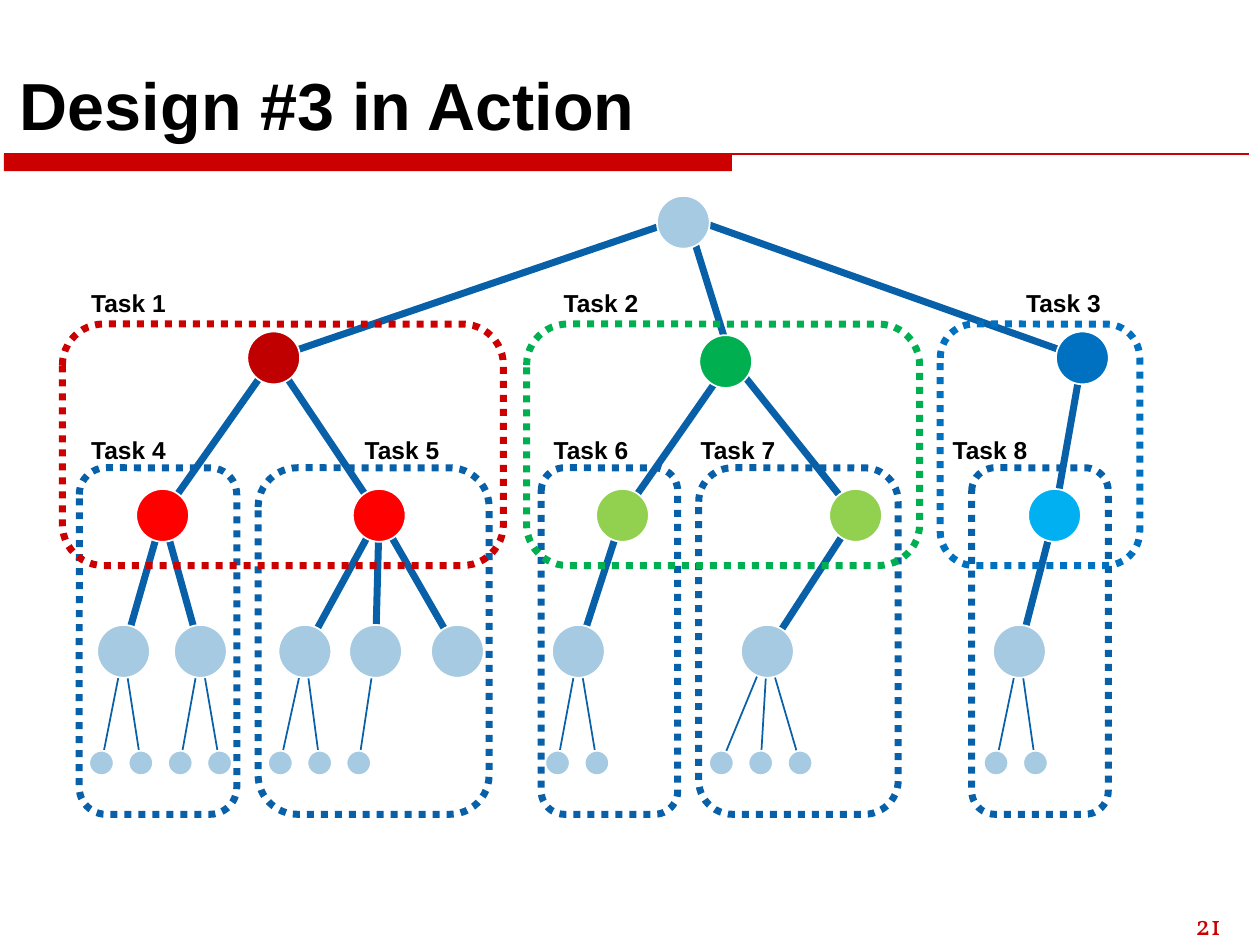
import pptx
import pptx.util
import pptx.dml.color
import pptx.enum.dml
import pptx.enum.shapes
import pptx.enum.text
import lxml.etree

Pt = pptx.util.Pt
KIND = pptx.enum.shapes.MSO_SHAPE
STRAIGHT = pptx.enum.shapes.MSO_CONNECTOR.STRAIGHT
ANCHOR = pptx.enum.text.MSO_ANCHOR
NS = "{http://schemas.openxmlformats.org/drawingml/2006/main}"
RED, NAVY, PALE = "CC0000", "0860A8", "A6CAE1"


def color(code):
    return pptx.dml.color.RGBColor.from_string(code)


def write(text, left, top, width, height, size=14, font="Arial",
          fill="000000", bold=True, anchor=ANCHOR.TOP):
    box = slide.shapes.add_textbox(Pt(left), Pt(top), Pt(width), Pt(height))
    frame = box.text_frame
    frame.word_wrap = True
    frame.vertical_anchor = anchor
    run = frame.paragraphs[0].add_run()
    run.text = text
    run.font.size = Pt(size)
    run.font.name = font
    run.font.bold = bold
    run.font.color.rgb = color(fill)


deck = pptx.Presentation()
deck.slide_width, deck.slide_height = Pt(720), Pt(540)
slide = deck.slides.add_slide(deck.slide_layouts[6])

# Title, red bar and page number
bar = slide.shapes.add_shape(KIND.RECTANGLE, Pt(2.2), Pt(88), Pt(416), Pt(9.8))
bar.shadow.inherit = False
bar.fill.solid()
bar.fill.fore_color.rgb = color(RED)
bar.line.fill.background()
write("Design #3 in Action", 4.3, 23.8, 705, 62, size=38, anchor=ANCHOR.BOTTOM)
write("21", 676, 515, 42.5, 25, size=16, font="Vollkorn", fill=RED, bold=False)

# Tree rows from the root down; a node is x, y, fill, index of its parent
root = [(390.5, 127, PALE, None)]
heads = [(156.4, 204.5, "C00000", 0), (414.7, 206.6, "00B050", 0),
         (618.5, 204.5, "0070C0", 0)]
mids = [(x, 294.5, fill, up) for x, fill, up in [
    (92.9, "FF0000", 0), (216.7, "FF0000", 0), (355.7, "92D050", 1),
    (488.9, "92D050", 1), (602.6, "00B0F0", 2)]]
lows = [(x, 372.2, PALE, up) for x, up in [
    (70.6, 0), (114.5, 0), (174.2, 1), (214.6, 1), (261.4, 1),
    (330.5, 2), (438.5, 3), (582.5, 4)]]
# First leaf and number of leaves under each low node
leaves = [(first + 22.5 * i, 436, PALE, up)
          for up, (first, count) in enumerate([
              (58, 2), (103, 2), (160.2, 2), (205, 1), (0, 0),
              (318.6, 2), (412.2, 3), (569.2, 2)])
          for i in range(count)]
rows = [root, heads, mids, lows, leaves]
# Nodes whose edges meet slightly off the centre: (row, index) to point
hubs = {(0, 0): (392.5, 124), (1, 1): (417.8, 205.5)}

links = [(2.2, 88, 713.5, 88, RED, 0.75)]
for depth in reversed(range(len(rows))):
    size, weight = (14, 1) if depth == 4 else (30.2, 4)
    for i, (x, y, fill, up) in enumerate(rows[depth]):
        if up is not None:
            start = hubs.get((depth - 1, up), rows[depth - 1][up][:2])
            end = hubs.get((depth, i), (x, y))
            links.append((*start, *end, NAVY, weight))
    for x1, y1, x2, y2, hue, weight in links:
        link = slide.shapes.add_connector(STRAIGHT, Pt(x1), Pt(y1), Pt(x2), Pt(y2))
        link.line.color.rgb = color(hue)
        link.line.width = Pt(weight)
        lxml.etree.SubElement(link._element.spPr, NS + "effectLst")
    links = []
    for x, y, fill, up in rows[depth]:
        node = slide.shapes.add_shape(KIND.OVAL, Pt(x - size / 2), Pt(y - size / 2),
                                      Pt(size), Pt(size))
        node.shadow.inherit = False
        node.fill.solid()
        node.fill.fore_color.rgb = color(fill)
        node.line.color.rgb = color("FFFFFF")
        node.line.width = Pt(1)

# Dotted task frames: name, label left, frame left, frame width, colour
lower = [("Task 4", 45, 45.3, 90, NAVY), ("Task 5", 201.3, 147.5, 132, NAVY),
         ("Task 6", 309.3, 309.3, 78, NAVY), ("Task 7", 393.3, 399.3, 114, NAVY),
         ("Task 8", 537.3, 555.3, 78, NAVY)]
upper = [("Task 1", 45, 35.7, 252, RED), ("Task 2", 315, 300.9, 224.6, "00B050"),
         ("Task 3", 579.3, 537.3, 114, "0070C0")]
for tasks, top, height, gap in [(lower, 267.3, 198, 22), (upper, 185.2, 138, 24)]:
    for name, at, left, width, hue in tasks:
        frame = slide.shapes.add_shape(KIND.ROUNDED_RECTANGLE, Pt(left), Pt(top),
                                       Pt(width), Pt(height))
        frame.adjustments[0] = 0.17
        frame.shadow.inherit = False
        frame.fill.background()
        frame.line.color.rgb = color(hue)
        frame.line.width = Pt(4)
        frame.line.dash_style = pptx.enum.dml.MSO_LINE.ROUND_DOT
        write(name, at, top - gap, 67, 24.2)

deck.save("out.pptx")
